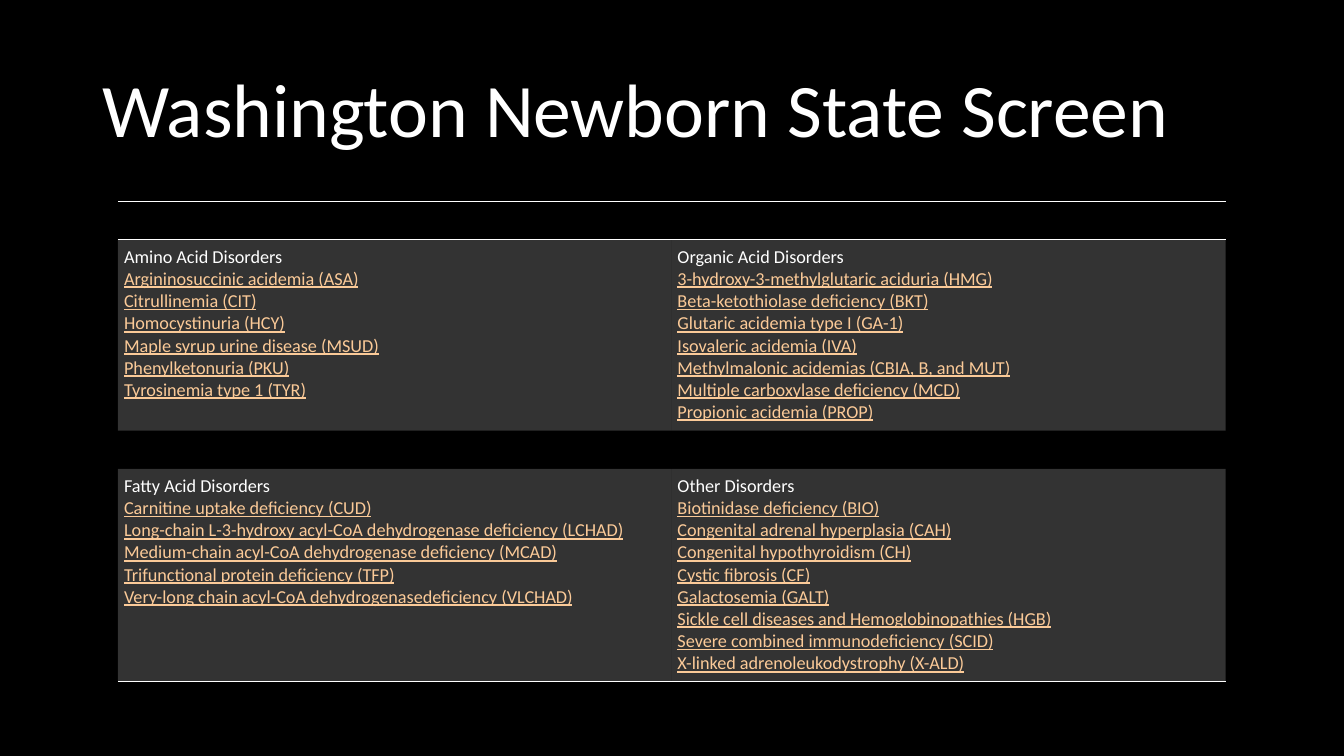
from lxml.etree import SubElement as Sub
from pptx import Presentation
from pptx.dml.color import RGBColor as RGB
from pptx.enum.text import MSO_ANCHOR as Anchor
from pptx.oxml import parse_xml
from pptx.oxml.ns import nsdecls, qn
from pptx.util import Pt

# Content: each group is a heading and its disorders
TITLE = "Washington Newborn State Screen"
AMINO = ("Amino Acid Disorders", [
    "Argininosuccinic acidemia (ASA)",
    "Citrullinemia (CIT)",
    "Homocystinuria (HCY)",
    "Maple syrup urine disease (MSUD)",
    "Phenylketonuria (PKU)",
    "Tyrosinemia type 1 (TYR)",
])
ORGANIC = ("Organic Acid Disorders", [
    "3-hydroxy-3-methylglutaric aciduria (HMG)",
    "Beta-ketothiolase deficiency (BKT)",
    "Glutaric acidemia type I (GA-1)",
    "Isovaleric acidemia (IVA)",
    "Methylmalonic acidemias (CBIA, B, and MUT)",
    "Multiple carboxylase deficiency (MCD)",
    "Propionic acidemia (PROP)",
])
FATTY = ("Fatty Acid Disorders", [
    "Carnitine uptake deficiency (CUD)",
    "Long-chain L-3-hydroxy acyl-CoA dehydrogenase deficiency (LCHAD)",
    "Medium-chain acyl-CoA dehydrogenase deficiency (MCAD)",
    "Trifunctional protein deficiency (TFP)",
    "Very-long chain acyl-CoA dehydrogenasedeficiency (VLCHAD)",
])
OTHER = ("Other Disorders", [
    "Biotinidase deficiency (BIO)",
    "Congenital adrenal hyperplasia (CAH)",
    "Congenital hypothyroidism (CH)",
    "Cystic fibrosis (CF)",
    "Galactosemia (GALT)",
    "Sickle cell diseases and Hemoglobinopathies (HGB)",
    "Severe combined immunodeficiency (SCID)",
    "X-linked adrenoleukodystrophy (X-ALD)",
])
ROWS = [(None, None), (AMINO, ORGANIC), (None, None), (FATTY, OTHER)]

# Format
HUES = {"back": "000000", "text": "FFFFFF", "item": "FBCA98"}
WIDE, HIGH = 960, 540
HEADS = (27.3, 136.4, 27.3, 151.9)
COLS = (395.3, 396)
LEFT, TOP = 84.24, 144
EDGES = {0: ("lnT", "lnB"), 1: ("lnT",), 3: ("lnB",)}
PAD = 4.4
PLAIN = "{2D5ABB26-0587-4C30-8999-92F81FD0307C}"
HEAD = {"name": "Calibri", "size": Pt(13), "underline": False}
ITEM = {**HEAD, "underline": True}
BIG = {"name": "Calibri", "size": Pt(54)}


def write(para, text, style, hue):
    run = para.add_run()
    run.text = text
    for key, value in style.items():
        setattr(run.font, key, value)
    run.font.color.rgb = RGB.from_string(HUES[hue])


def fill_in(cell, group):
    """Write a group on a translucent panel, or leave a clear gap."""
    pad = PAD if group else 0
    for side in ("left", "right", "top", "bottom"):
        setattr(cell, "margin_" + side, Pt(pad))
    if not group:
        cell.fill.background()
        return
    head, items = group
    frame = cell.text_frame
    write(frame.paragraphs[0], head, HEAD, "text")
    for item in items:
        write(frame.add_paragraph(), item, ITEM, "item")
    cell.fill.solid()
    cell.fill.fore_color.rgb = RGB.from_string(HUES["text"])
    tint = cell._tc.tcPr.find(".//" + qn("a:srgbClr"))
    Sub(tint, qn("a:alpha"), val="20000")


def rule(cell, edges):
    """Draw one-point lines on the named edges only."""
    prop = cell._tc.get_or_add_tcPr()
    for spot, edge in enumerate(("lnL", "lnR", "lnT", "lnB")):
        ink = (f'<a:solidFill><a:srgbClr val="{HUES["text"]}"/></a:solidFill>'
               if edge in edges else "<a:noFill/>")
        prop.insert(spot, parse_xml(
            f'<a:{edge} {nsdecls("a")} w="{Pt(1)}">{ink}</a:{edge}>'))


# Slide
deck = Presentation()
deck.slide_width, deck.slide_height = Pt(WIDE), Pt(HIGH)
slide = deck.slides.add_slide(deck.slide_layouts[6])
back = slide.background.fill
back.solid()
back.fore_color.rgb = RGB.from_string(HUES["back"])

# Title
box = slide.shapes.add_textbox(Pt(66), Pt(28.75), Pt(828), Pt(104.4))
frame = box.text_frame
frame.word_wrap = True
frame.vertical_anchor = Anchor.MIDDLE
frame.paragraphs[0].line_spacing = 0.9
write(frame.paragraphs[0], TITLE, BIG, "text")

# Table of disorders
grid = slide.shapes.add_table(len(ROWS), len(COLS), Pt(LEFT), Pt(TOP),
                              Pt(sum(COLS)), Pt(sum(HEADS))).table
grid.first_row = grid.horz_banding = False
grid._tbl.tblPr.find(qn("a:tableStyleId")).text = PLAIN
for col, width in zip(grid.columns, COLS):
    col.width = Pt(width)
for r, (row, groups) in enumerate(zip(grid.rows, ROWS)):
    row.height = Pt(HEADS[r])
    for cell, group in zip(row.cells, groups):
        fill_in(cell, group)
        rule(cell, EDGES.get(r, ()))

deck.save("out.pptx")
